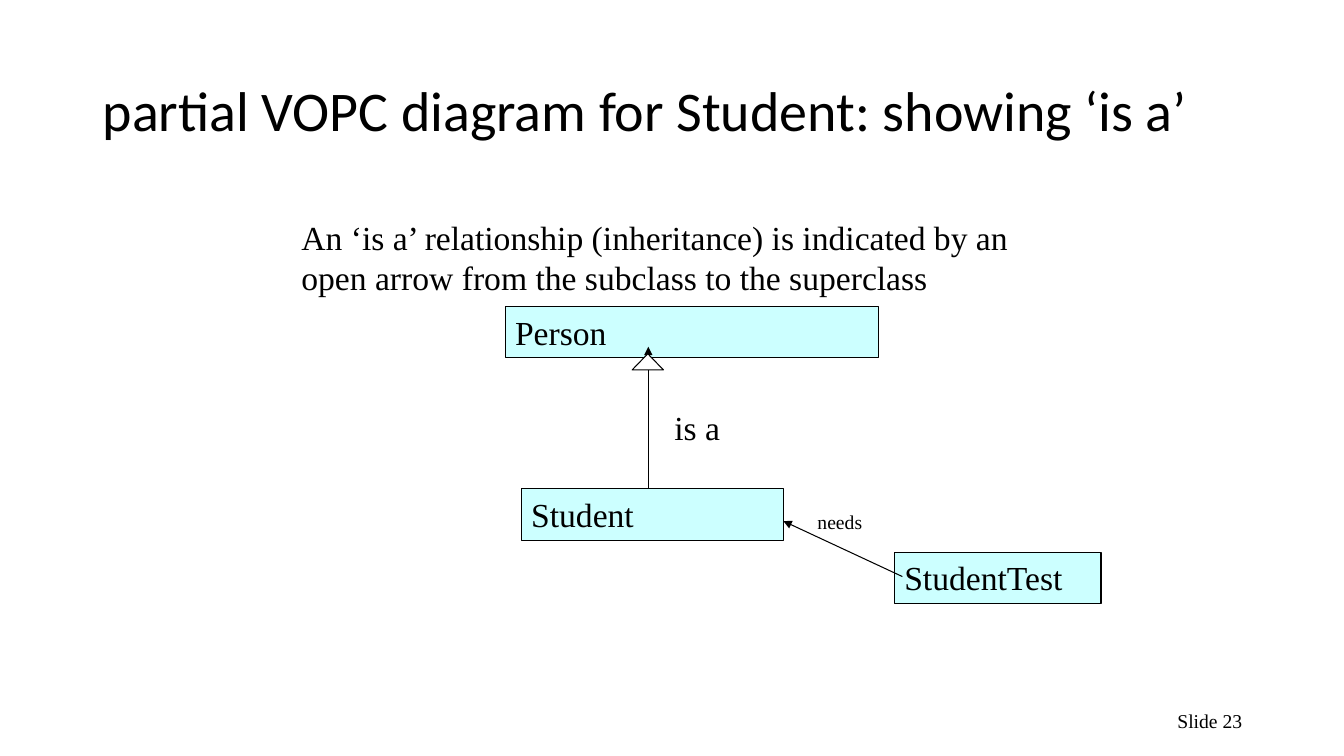
from lxml import etree
from pptx import Presentation
from pptx.dml.color import RGBColor
from pptx.enum.shapes import MSO_CONNECTOR, MSO_SHAPE
from pptx.enum.text import MSO_ANCHOR, PP_ALIGN
from pptx.oxml.ns import qn
from pptx.util import Inches, Pt

BLACK = RGBColor(0x00, 0x00, 0x00)
WHITE = RGBColor(0xFF, 0xFF, 0xFF)
PALE_CYAN = RGBColor(0xCC, 0xFF, 0xFF)
LEFT, RIGHT = PP_ALIGN.LEFT, PP_ALIGN.RIGHT
TOP, MIDDLE = MSO_ANCHOR.TOP, MSO_ANCHOR.MIDDLE
RECTANGLE, TRIANGLE = MSO_SHAPE.RECTANGLE, MSO_SHAPE.FLOWCHART_EXTRACT
STRAIGHT = MSO_CONNECTOR.STRAIGHT
LINE_WIDTH = Pt(0.75)
CLASS_HEIGHT = 0.51


def write_text(shape, text, size=24, font="Times New Roman", align=LEFT,
               anchor=TOP, line_spacing=1.0):
    frame = shape.text_frame
    frame.word_wrap = True
    frame.vertical_anchor = anchor
    frame.text = text
    paragraph = frame.paragraphs[0]
    paragraph.alignment = align
    paragraph.line_spacing = line_spacing
    run_font = paragraph.runs[0].font
    run_font.name = font
    run_font.size = Pt(size)
    run_font.color.rgb = BLACK


def add_label(slide, box, text, **text_format):
    shape = slide.shapes.add_textbox(*map(Inches, box))
    write_text(shape, text, **text_format)


def add_outlined_shape(slide, preset, box, fill):
    shape = slide.shapes.add_shape(preset, *map(Inches, box))
    shape.shadow.inherit = False
    shape.fill.solid()
    shape.fill.fore_color.rgb = fill
    shape.line.color.rgb = BLACK
    shape.line.width = LINE_WIDTH
    return shape


def add_class(slide, left, top, width, name):
    box = (left, top, width, CLASS_HEIGHT)
    write_text(add_outlined_shape(slide, RECTANGLE, box, PALE_CYAN), name)


def add_arrow(slide, start, end):
    arrow = slide.shapes.add_connector(STRAIGHT, *map(Inches, start + end))
    arrow.line.color.rgb = BLACK
    arrow.line.width = LINE_WIDTH
    etree.SubElement(arrow.line._get_or_add_ln(), qn("a:tailEnd"), type="triangle")
    etree.SubElement(arrow._element.spPr, qn("a:effectLst"))


def place_title(slide, box, text):
    title = slide.shapes.title
    title.left, title.top, title.width, title.height = map(Inches, box)
    write_text(title, text, size=40, font="Calibri", anchor=MIDDLE, line_spacing=0.9)


def add_class_diagram(slide, left, top):
    add_class(slide, left + 0.16, top + 1.81, 2.6, "Student")
    add_class(slide, left, top, 3.7, "Person")
    add_arrow(slide, (left + 1.42, top + 1.81), (left + 1.42, top + 0.4))
    add_outlined_shape(slide, TRIANGLE, (left + 1.26, top + 0.47, 0.31, 0.16), WHITE)
    add_class(slide, left + 3.86, top + 2.44, 2.05, "StudentTest")
    add_arrow(slide, (left + 3.94, top + 2.68), (left + 2.76, top + 2.13))
    add_label(slide, (left + 1.58, top + 0.95, 0.71, 0.5), "is a")
    add_label(slide, (left + 3, top + 1.97, 0.94, 0.33), "needs", size=14)


def main():
    presentation = Presentation()
    presentation.slide_width = Inches(13.33)
    presentation.slide_height = Inches(7.5)
    slide = presentation.slides.add_slide(presentation.slide_layouts[5])
    place_title(slide, (0.92, 0.4, 11.5, 1.45),
                "partial VOPC diagram for Student: showing ‘is a’")
    add_label(slide, (2.89, 2.1, 7.72, 0.91),
              "An ‘is a’ relationship (inheritance) is indicated by an "
              "open arrow from the subclass to the superclass")
    add_class_diagram(slide, 5.01, 3.04)
    add_label(slide, (9.42, 6.95, 3, 0.4), "Slide 23",
              size=14, align=RIGHT, anchor=MIDDLE)
    presentation.save("out.pptx")


if __name__ == "__main__":
    main()
